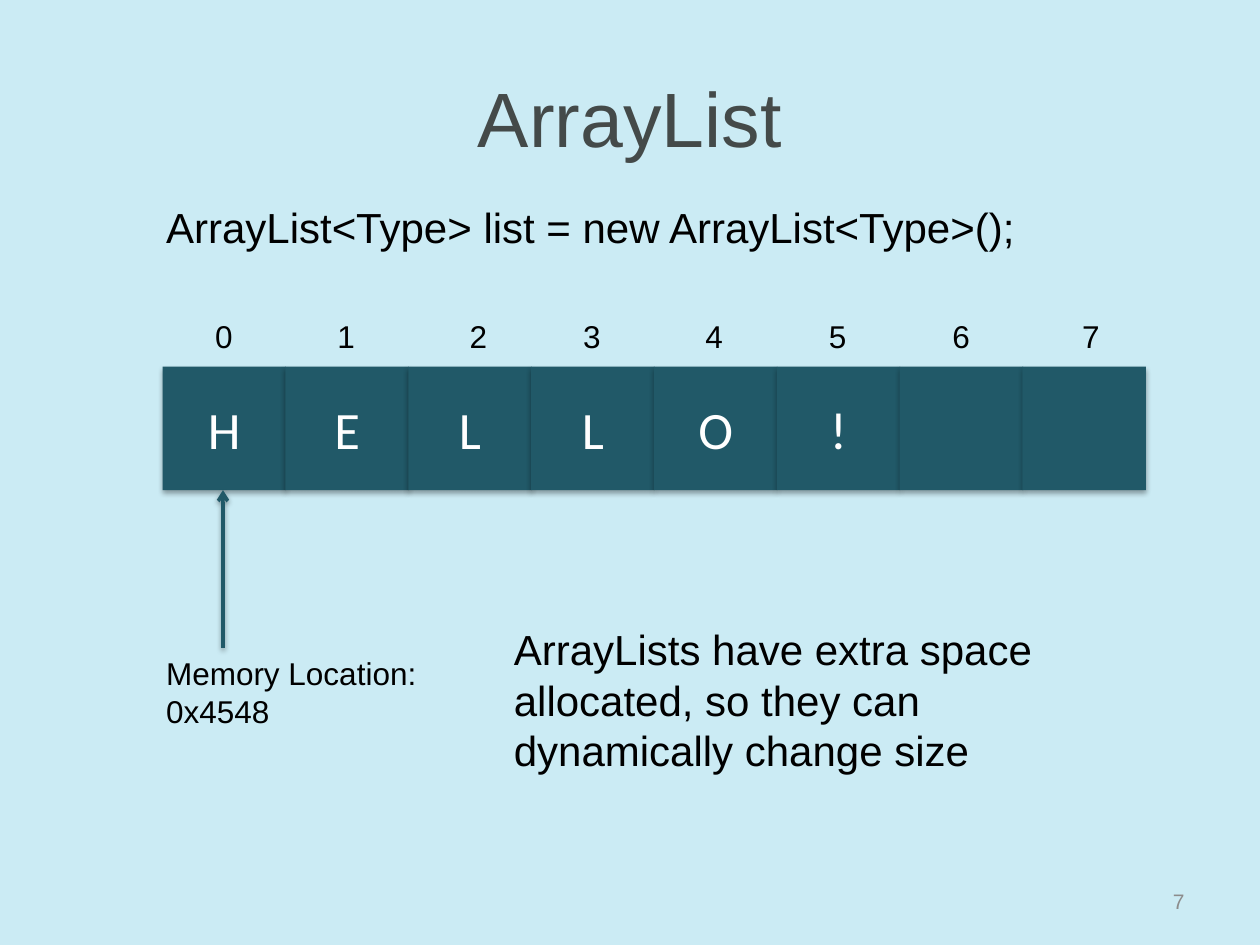
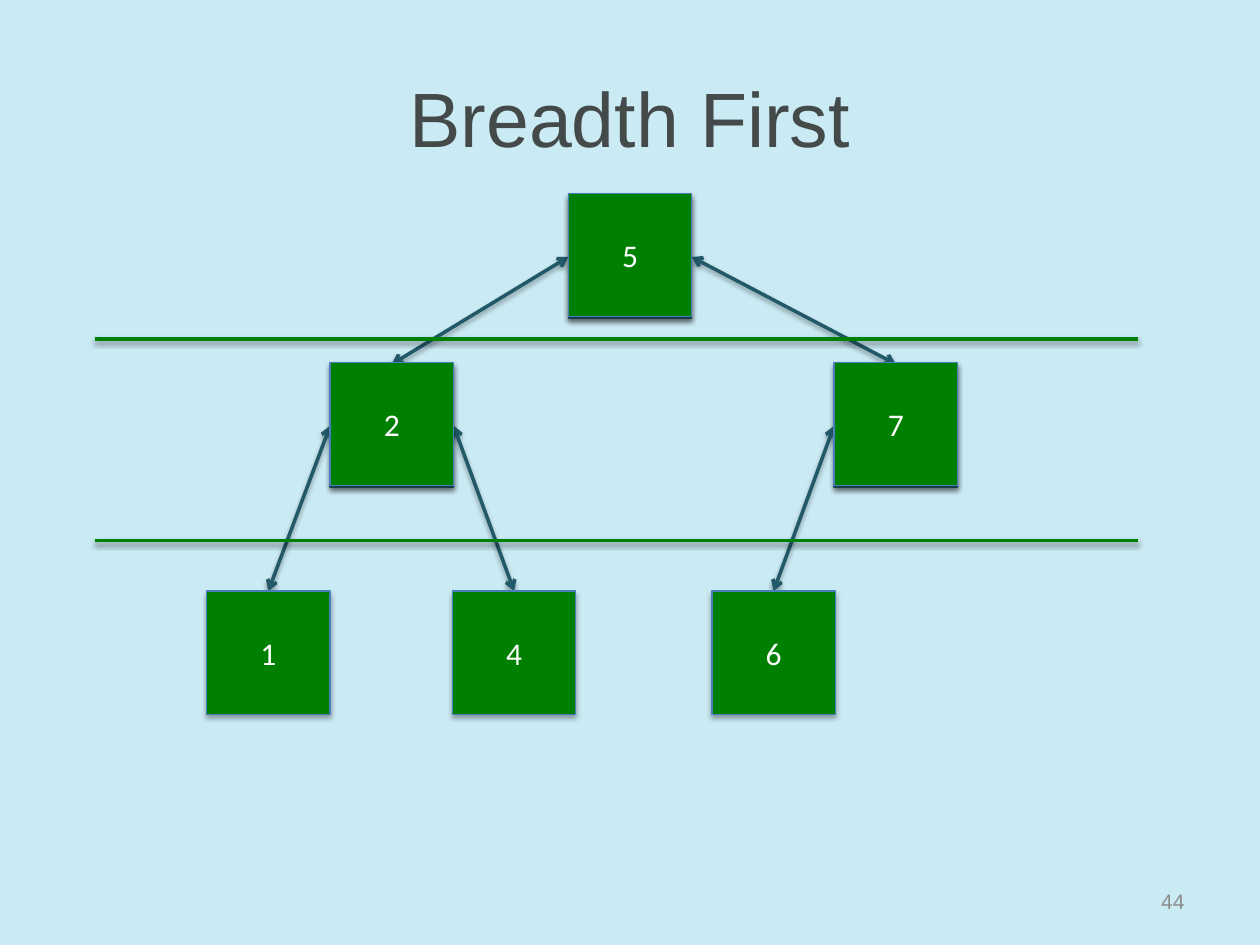
from lxml import etree
from pptx import Presentation
from pptx.dml.color import RGBColor
from pptx.enum.shapes import MSO_CONNECTOR as Conn, MSO_SHAPE as Shape
from pptx.enum.text import MSO_ANCHOR as Anchor, MSO_AUTO_SIZE as Fit, PP_ALIGN as Align
from pptx.oxml.ns import qn
from pptx.util import Inches, Pt

PALE, TEAL, GREEN, BLUE = "CBEBF4", "215968", "008000", "4B7EBC"
SLATE, GREY, BLACK, WHITE = "444A49", "8C8C8C", "000000", "FFFFFF"
SIDE = 0.98
PITCH = 0.975


def color(code):
    return RGBColor.from_string(code)


def write(frame, lines, size, tint=BLACK, font="Arial", align=Align.LEFT):
    for i, line in enumerate(lines):
        para = frame.paragraphs[0] if i == 0 else frame.add_paragraph()
        para.alignment = align
        run = para.add_run()
        run.text = line
        run.font.size = Pt(size)
        run.font.name = font
        run.font.color.rgb = color(tint)


def shade(effects, alpha, dist):
    cast = etree.SubElement(
        effects, qn("a:outerShdw"), blurRad=str(Pt(3.1)), dist=str(Pt(dist)),
        dir="5400000", rotWithShape="0")
    tone = etree.SubElement(cast, qn("a:srgbClr"), val=BLACK)
    etree.SubElement(tone, qn("a:alpha"), val=str(alpha * 1000))


def label(slide, lines, box, size, wrap=False):
    text = slide.shapes.add_textbox(*map(Inches, box))
    frame = text.text_frame
    frame.word_wrap = wrap
    frame.auto_size = Fit.SHAPE_TO_FIT_TEXT
    write(frame, lines, size)


def square(slide, text, left, top, size, fill, edge=None):
    box = slide.shapes.add_shape(
        Shape.RECTANGLE, *map(Inches, (left, top, SIDE, SIDE)))
    box.fill.solid()
    box.fill.fore_color.rgb = color(fill)
    if edge:
        box.line.color.rgb = color(edge)
        box.line.width = Pt(0.75)
    else:
        box.line.fill.background()
    box.shadow.inherit = False
    shade(box._element.spPr.find(qn("a:effectLst")), 35, 1.8)
    if text:
        box.text_frame.vertical_anchor = Anchor.MIDDLE
        write(box.text_frame, [text], size, WHITE, "Calibri", Align.CENTER)


def line(slide, start, end, tint=TEAL, ends=()):
    link = slide.shapes.add_connector(
        Conn.STRAIGHT, *map(Inches, (*start, *end)))
    link.line.color.rgb = color(tint)
    link.line.width = Pt(2)
    props = link._element.spPr
    for end_tag in ends:
        etree.SubElement(props.find(qn("a:ln")), qn(end_tag), type="arrow")
    shade(etree.SubElement(props, qn("a:effectLst")), 38, 1.6)


def start(deck, title, page):
    slide = deck.slides.add_slide(deck.slide_layouts[5])
    head = slide.shapes.title
    head.left, head.top, head.width, head.height = map(
        Inches, (0.5, 0.3, 9, 1.25))
    head.text_frame.vertical_anchor = Anchor.MIDDLE
    write(head.text_frame, [title], 44, SLATE, align=Align.CENTER)
    foot = slide.shapes.add_textbox(*map(Inches, (7.17, 6.95, 2.33, 0.4)))
    foot.text_frame.word_wrap = True
    foot.text_frame.vertical_anchor = Anchor.MIDDLE
    write(foot.text_frame, [page], 12, GREY, align=Align.RIGHT)
    return slide


def draw_list(deck):
    slide = start(deck, "ArrayList", "7")
    for i, char in enumerate(["H", "E", "L", "L", "O", "!", "", ""]):
        square(slide, char, 1.29 + i * PITCH, 2.91, 30, TEAL)
    line(slide, (1.77, 5.14), (1.77, 3.89), ends=["a:tailEnd"])
    spots = [1.61, 2.58, 3.63, 4.53, 5.5, 6.48, 7.46, 8.49]
    for i, left in enumerate(spots):
        label(slide, [str(i)], (left, 2.47, 0.34, 0.4), 18)
    label(slide, ["Memory Location:", "0x4548"], (1.22, 5.14, 2.23, 0.71), 18)
    label(slide, ["ArrayLists have extra space allocated, "
                  "so they can dynamically change size"],
          (3.98, 4.9, 4.68, 1.31), 24, wrap=True)
    label(slide, ["ArrayList<Type> list = new ArrayList<Type>();"],
          (1.22, 1.55, 7.13, 0.5), 24)


def draw_tree(deck):
    slide = start(deck, "Breadth First", "44")
    nodes = {"5": (4.51, 1.55), "2": (2.62, 2.89), "7": (6.62, 2.89),
             "1": (1.64, 4.69), "4": (3.59, 4.69), "6": (5.65, 4.69)}
    inner = ["5", "2", "7"]
    for name in inner:
        square(slide, name, *nodes[name], 18, TEAL, TEAL)
    for top, low in ["52", "57", "21", "24", "76"]:
        (left, y), (x, base) = nodes[top], nodes[low]
        side = left + SIDE if x > left else left
        line(slide, (side, y + SIDE / 2), (x + SIDE / 2, base),
             ends=["a:headEnd", "a:tailEnd"])
    for name, (left, top) in nodes.items():
        lift = 0.015 if name in inner else 0
        square(slide, name, left, top - lift, 18, GREEN, BLUE)
    for y in (2.69, 4.29):
        line(slide, (0.75, y), (9.03, y), GREEN)


def main():
    deck = Presentation()
    deck.slide_width, deck.slide_height = Inches(10), Inches(7.5)
    back = deck.slide_master.background.fill
    back.solid()
    back.fore_color.rgb = color(PALE)
    draw_list(deck)
    draw_tree(deck)
    deck.save("out.pptx")


main()
